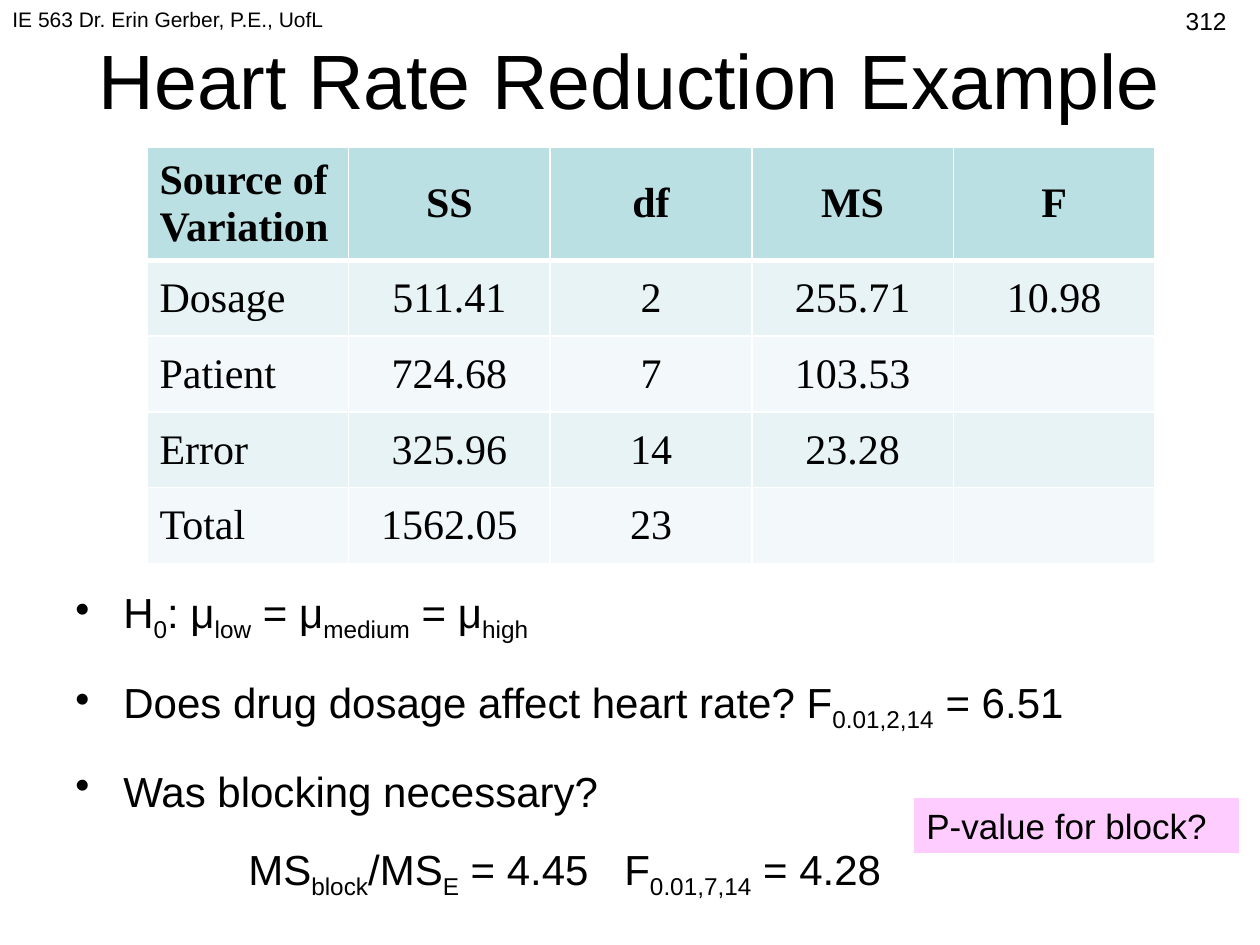
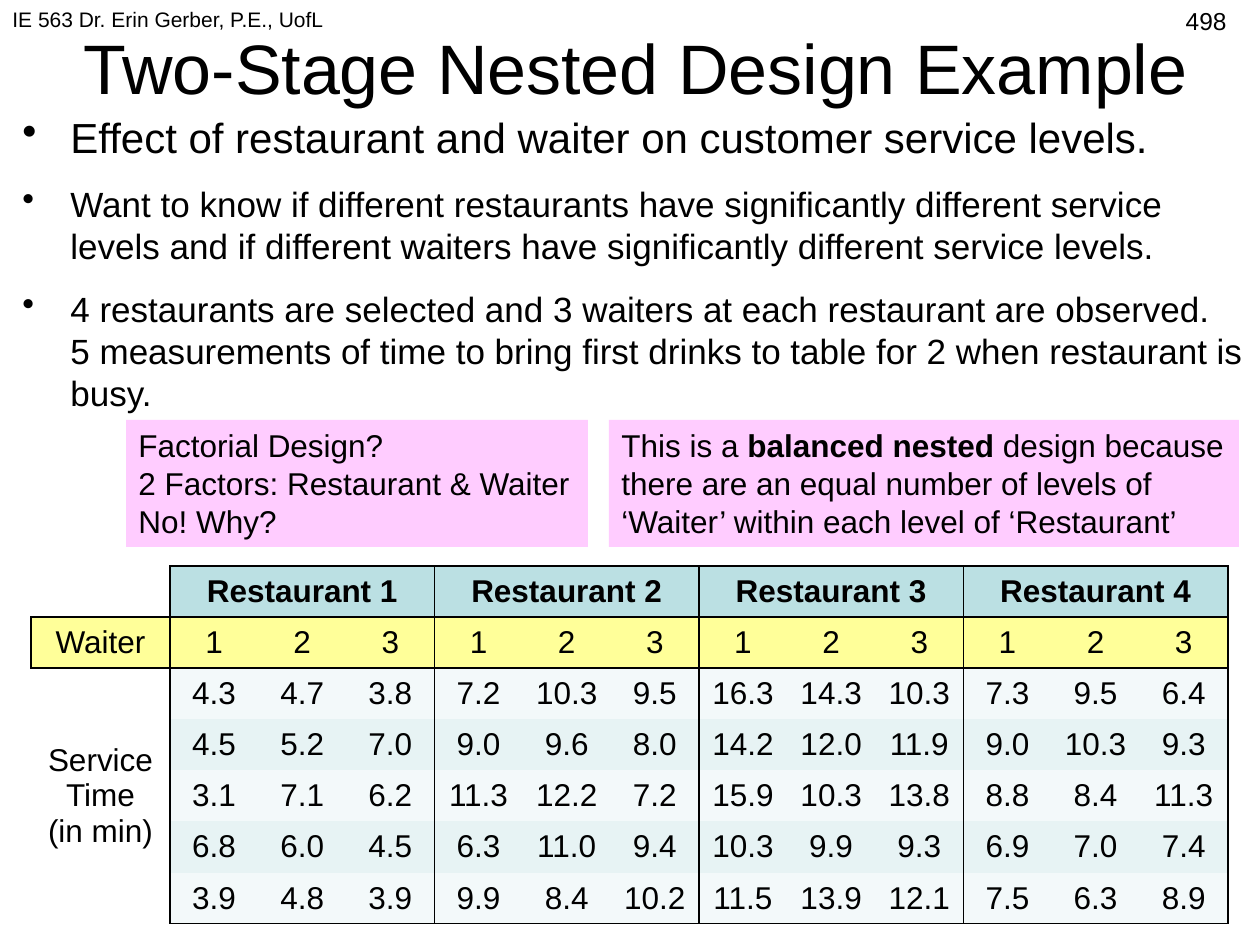
from lxml.etree import SubElement
from pptx import Presentation
from pptx.dml.color import RGBColor
from pptx.enum.shapes import MSO_SHAPE as SHAPE
from pptx.enum.text import MSO_ANCHOR as ANCHOR, PP_ALIGN as ALIGN
from pptx.oxml.ns import qn
from pptx.util import Emu, Pt

PX_PER_INCH = 126
SLIDE_BOX = (0, 0, 1260, 945)
BLACK, WHITE = "000000", "FFFFFF"
TEAL, YELLOW, PINK = "BBE0E3", "FFFF99", "FFCCFF"
BANDS = ("E7F3F4", "F3F9FA")
SANS, SERIF = "Arial", "Times New Roman"
COURSE = "IE 563 Dr. Erin Gerber, P.E., UofL"
SUBSCRIPT, BOLD = ("baseline", "-25000"), ("b", "1")
HANGING = 48

ANOVA = [
    ["Source of Variation", "SS", "df", "MS", "F"],
    ["Dosage", "511.41", "2", "255.71", "10.98"],
    ["Patient", "724.68", "7", "103.53", ""],
    ["Error", "325.96", "14", "23.28", ""],
    ["Total", "1562.05", "23", "", ""],
]
SERVICE_TIMES = [
    [4.3, 4.7, 3.8, 7.2, 10.3, 9.5, 16.3, 14.3, 10.3, 7.3, 9.5, 6.4],
    [4.5, 5.2, 7.0, 9.0, 9.6, 8.0, 14.2, 12.0, 11.9, 9.0, 10.3, 9.3],
    [3.1, 7.1, 6.2, 11.3, 12.2, 7.2, 15.9, 10.3, 13.8, 8.8, 8.4, 11.3],
    [6.8, 6.0, 4.5, 6.3, 11.0, 9.4, 10.3, 9.9, 9.3, 6.9, 7.0, 7.4],
    [3.9, 4.8, 3.9, 9.9, 8.4, 10.2, 11.5, 13.9, 12.1, 7.5, 6.3, 8.9],
]
RESTAURANTS, WAITERS = 4, 3


def px(length):
    return Emu(round(length * 914400 / PX_PER_INCH))


def rgb(color):
    return RGBColor.from_string(color)


def style(paragraph, size, face=SANS, align=ALIGN.LEFT, bold=False):
    paragraph.alignment = align
    font = paragraph.font
    font.size, font.name, font.bold = Pt(size), face, bold
    font.color.rgb = rgb(BLACK)


def write(paragraph, text, mark=SUBSCRIPT):
    """Fill a paragraph; the parts between bars get the marked run attribute."""
    parts = text.split("|")
    if len(parts) == 1:
        paragraph.text = text
        return
    for number, part in enumerate(parts):
        run = paragraph.add_run()
        run.text = part
        if number % 2:
            run._r.get_or_add_rPr().set(*mark)


def paragraphs(frame, count):
    return [frame.paragraphs[0]] + [frame.add_paragraph() for _ in range(count - 1)]


def text_frame(slide, box, anchor=ANCHOR.TOP):
    frame = slide.shapes.add_textbox(*map(px, box)).text_frame
    frame.word_wrap, frame.vertical_anchor = True, anchor
    return frame


def text_line(slide, box, text, size, align=ALIGN.LEFT, anchor=ANCHOR.TOP):
    line = text_frame(slide, box, anchor).paragraphs[0]
    write(line, text)
    style(line, size, align=align)


def header(slide, box, number):
    left, top, width, _ = box
    text_line(slide, (left, top, 525, 65), COURSE, 12)
    text_line(slide, (left + width - 315, top, 294, 65), number, 14, ALIGN.RIGHT)


def title(slide, box, text, size):
    text_line(slide, box, text, size, ALIGN.CENTER, ANCHOR.MIDDLE)


def bullet(paragraph):
    props = paragraph._p.get_or_add_pPr()
    props.set("marL", str(px(HANGING)))
    props.set("indent", str(-px(HANGING)))
    SubElement(props, qn("a:buChar"), char="•")


def tab_stops(paragraph, stops):
    tabs = SubElement(paragraph._p.get_or_add_pPr(), qn("a:tabLst"))
    for stop in stops:
        SubElement(tabs, qn("a:tab"), pos=str(px(stop)), algn="l")


def callout(slide, box, lines, size):
    shape = slide.shapes.add_shape(SHAPE.RECTANGLE, *map(px, box))
    shape.shadow.inherit = False
    shape.fill.solid()
    shape.fill.fore_color.rgb = rgb(PINK)
    shape.line.fill.background()
    frame = shape.text_frame
    frame.word_wrap, frame.vertical_anchor = True, ANCHOR.TOP
    for paragraph, text in zip(paragraphs(frame, len(lines)), lines):
        write(paragraph, text, BOLD)
        style(paragraph, size)


def paint_cell(cell, fill, edges):
    """Set the cell fill and borders; edges maps L, R, T, B to (colour, points)."""
    props = cell._tc.get_or_add_tcPr()
    for side in "LRTB":
        color, points = edges.get(side, (None, 0))
        line = SubElement(props, qn(f"a:ln{side}"), w=str(Pt(points)))
        if color:
            solid = SubElement(line, qn("a:solidFill"))
            SubElement(solid, qn("a:srgbClr"), val=color)
        else:
            SubElement(line, qn("a:noFill"))
    if fill:
        cell.fill.solid()
        cell.fill.fore_color.rgb = rgb(fill)
    else:
        cell.fill.background()


def fill_cell(cell, text, size, face=SANS, align=ALIGN.CENTER, bold=False):
    cell.vertical_anchor = ANCHOR.MIDDLE
    lines = text.split("\n")
    for paragraph, line in zip(paragraphs(cell.text_frame, len(lines)), lines):
        write(paragraph, line)
        style(paragraph, size, face, align, bold)


def new_table(slide, box, rows, columns, first_row, first_column):
    """Add a table whose rows and columns after the first share the rest equally."""
    table = slide.shapes.add_table(rows, columns, *map(px, box)).table
    table.first_row = table.horz_banding = False
    for lines, extent, first, name in (
        (table.columns, box[2], first_column, "width"),
        (table.rows, box[3], first_row, "height"),
    ):
        for index, line in enumerate(lines):
            setattr(line, name, px((extent - first) / (len(lines) - 1) if index else first))
    return table


def anova_table(slide, box):
    table = new_table(slide, box, len(ANOVA), len(ANOVA[0]), 113, box[2] / 5)
    for r, row in enumerate(ANOVA):
        for c, text in enumerate(row):
            edges = dict.fromkeys("LRTB", (WHITE, 1))
            if r < 2:
                edges["T" if r else "B"] = (WHITE, 3)
            cell = table.cell(r, c)
            paint_cell(cell, BANDS[(r - 1) % 2] if r else TEAL, edges)
            fill_cell(cell, text, 24, SERIF, ALIGN.CENTER if c else ALIGN.LEFT, r == 0)


def nested_edges(r, c, last):
    """Name the sides of a cell that carry a line."""
    if c == 0:
        return ("RB", "LRTB", "RT")[r] if r < 3 else "R"
    if r == 0:
        return "LRTB"
    sides = {1: "L", 0: "R"}.get(c % WAITERS, "")
    return sides + "T" * (r < 3) + "B" * (r in (1, last))


def nested_table(slide, box):
    rows = [
        [""] + [f"Restaurant {c // WAITERS + 1}" if c % WAITERS == 0 else ""
                for c in range(RESTAURANTS * WAITERS)],
        ["Waiter"] + [str(w + 1) for w in range(WAITERS)] * RESTAURANTS,
    ]
    rows += [[""] + [f"{time:.1f}" for time in times] for times in SERVICE_TIMES]
    rows[2][0] = "Service\nTime\n(in min)"
    last = len(rows) - 1
    table = new_table(slide, box, len(rows), len(rows[0]), box[3] / len(rows), 139)
    for r, row in enumerate(rows):
        for c, text in enumerate(row):
            fill = (TEAL, YELLOW)[r] if r < 2 else BANDS[(r - 1) % 2]
            if c == 0 and r != 1:
                fill = None
            edges = dict.fromkeys(nested_edges(r, c, last), (BLACK, 1))
            cell = table.cell(r, c)
            paint_cell(cell, fill, edges)
            fill_cell(cell, text, 18, bold=r == 0)
    for first in range(1, len(rows[0]), WAITERS):
        table.cell(0, first).merge(table.cell(0, first + WAITERS - 1))
    table.cell(2, 0).merge(table.cell(last, 0))


def hypotheses(slide, box):
    questions = [
        "H|0|: μ|low| = μ|medium| = μ|high|",
        "Does drug dosage affect heart rate? F|0.01,2,14| = 6.51",
        "Was blocking necessary?",
    ]
    ratio = "\tMS|block|/MS|E| = 4.45\tF|0.01,7,14| = 4.28"
    lines = paragraphs(text_frame(slide, box), len(questions) + 1)
    for index, (line, text) in enumerate(zip(lines, questions + [ratio])):
        write(line, text)
        line.line_spacing = 1.05
        line.space_before = Pt(8 if index else 0)
        line.space_after = Pt(9)
        if text is ratio:
            line.space_before = Pt(5)
            tab_stops(line, (173, 549))
        else:
            bullet(line)
        style(line, 24)


def study_description(slide, box):
    points = [
        (24, "Effect of restaurant and waiter on customer service levels."),
        (20, "Want to know if different restaurants have significantly different service "
             "levels and if different waiters have significantly different service levels."),
        (20, "4 restaurants are selected and 3 waiters at each restaurant are observed.\v"
             "5 measurements of time to bring first drinks to table for 2 when restaurant "
             "is busy."),
    ]
    lines = paragraphs(text_frame(slide, box), len(points))
    for index, (line, (size, text)) in enumerate(zip(lines, points)):
        write(line, text)
        line.space_before = Pt(12 if index else 0)
        bullet(line)
        style(line, size)


def heart_rate_slide(slide, box):
    left, top, _, _ = box
    header(slide, box, "312")
    title(slide, (left + 63, top, 1134, 158), "Heart Rate Reduction Example", 44)
    hypotheses(slide, (left + 63, top + 577, 1134, 357))
    anova_table(slide, (left + 147, top + 147, 1008, 416))
    callout(slide, (left + 914, top + 798, 325, 55), ["P-value for block?"], 20)


def nested_design_slide(slide, box):
    left, top, _, _ = box
    study_description(slide, (left + 10, top + 105, 1250, 399))
    title(slide, (left + 42, top - 13, 1187, 158), "Two-Stage Nested Design Example", 40)
    header(slide, box, "498")
    nested_table(slide, (left + 31, top + 566, 1197, 358))
    callout(slide, (left + 126, top + 420, 462, 127),
            ["Factorial Design?", "2 Factors: Restaurant & Waiter", "No! Why?"], 18)
    callout(slide, (left + 609, top + 420, 630, 127),
            ["This is a |balanced nested| design because there are an equal number of "
             "levels of ‘Waiter’ within each level of ‘Restaurant’"], 18)


def main():
    deck = Presentation()
    deck.slide_width, deck.slide_height = map(px, SLIDE_BOX[2:])
    for build in (heart_rate_slide, nested_design_slide):
        build(deck.slides.add_slide(deck.slide_layouts[6]), SLIDE_BOX)
    deck.save("out.pptx")


if __name__ == "__main__":
    main()
